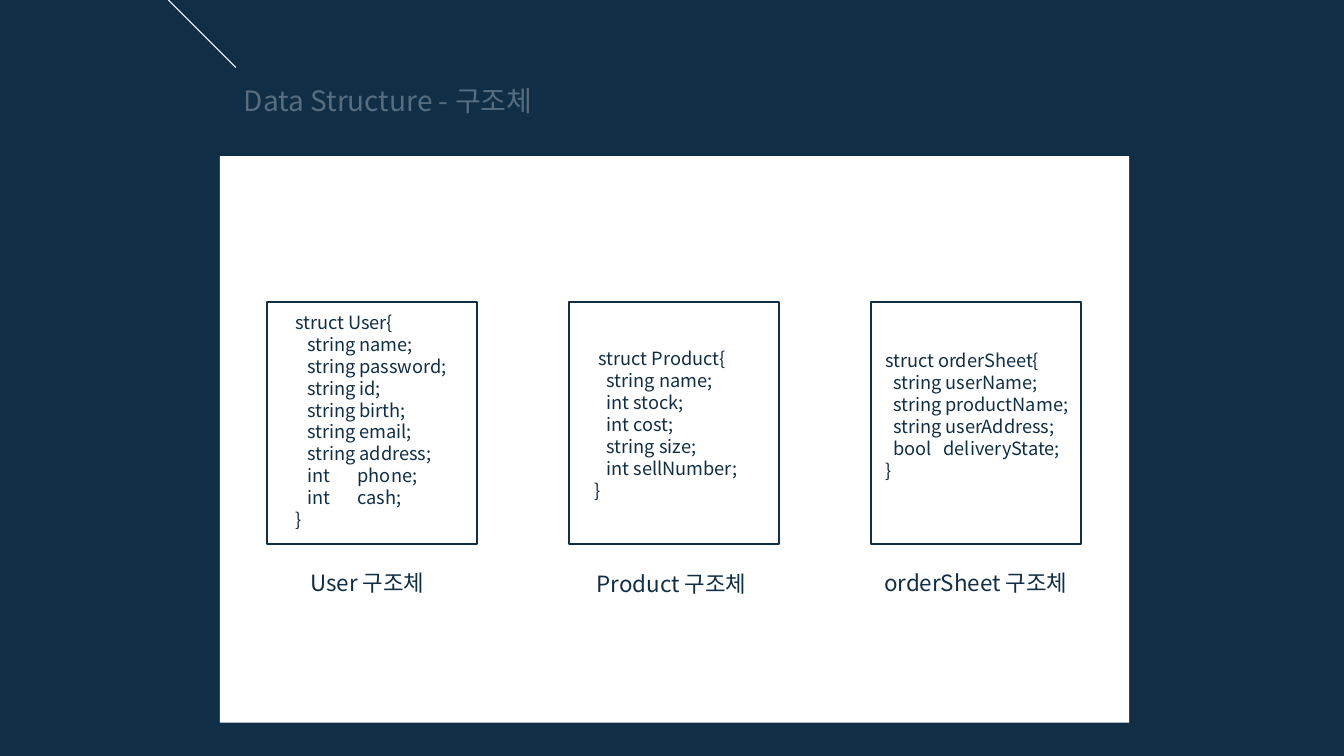
import pptx
import pptx.dml.color
import pptx.enum.shapes
import pptx.enum.text
import pptx.oxml.ns
import pptx.util
from lxml import etree

Inches = pptx.util.Inches
Pt = pptx.util.Pt

COLORS = {"navy": "102E46", "white": "FFFFFF"}
FONT = "Noto Sans CJK KR"
TITLE = "Data Structure - 구조체"
STRUCTS = [
    {
        "opening": "struct User{",
        "fields": ["string name;", "string password;", "string id;", "string birth;",
                   "string email;", "string address;", "int\tphone;", "int\tcash;"],
        "label": "User 구조체",
        "code_box": (2.83, 3.04, 1.73, 2.51),
        "label_box": (2.98, 5.6, 1.73, 0.37),
        "opening_indent": 0, "field_indent": 0.12, "tab": 0.52,
    },
    {
        "opening": "struct Product{",
        "fields": ["string name;", "int stock;", "int cost;", "string size;",
                   "int sellNumber;"],
        "label": "Product 구조체",
        "code_box": (5.8, 3.4, 1.73, 1.63),
        "label_box": (5.82, 5.61, 1.73, 0.37),
        "opening_indent": 0.04, "field_indent": 0.12, "tab": None,
    },
    {
        "opening": "struct orderSheet{",
        "fields": ["string userName;", "string productName;", "string userAddress;",
                   "bool\tdeliveryState;"],
        "label": "orderSheet 구조체",
        "code_box": (8.68, 3.42, 2.08, 1.41),
        "label_box": (8.67, 5.6, 2.02, 0.37),
        "opening_indent": 0, "field_indent": 0.08, "tab": 0.55,
    },
]
FRAME_LEFT, FRAME_TOP, FRAME_WIDTH, FRAME_HEIGHT = 2.65, 3, 2.08, 2.4
FRAME_STEP = 2.995

presentation = pptx.Presentation()
presentation.slide_width = Inches(13.33)
presentation.slide_height = Inches(7.5)
slide = presentation.slides.add_slide(presentation.slide_layouts[6])


def rgb(name):
    return pptx.dml.color.RGBColor.from_string(COLORS[name])


def add_child(parent, tag, **attributes):
    return etree.SubElement(parent, pptx.oxml.ns.qn(tag), attributes)


def add_rectangle(box, fill=None, line=None):
    shape = slide.shapes.add_shape(
        pptx.enum.shapes.MSO_SHAPE.RECTANGLE, *map(Inches, box))
    shape.shadow.inherit = False
    if fill:
        shape.fill.solid()
        shape.fill.fore_color.rgb = rgb(fill)
    else:
        shape.fill.background()
    if line:
        shape.line.color.rgb = rgb(line)
        shape.line.width = Pt(1.5)
    else:
        shape.line.fill.background()


def add_text(box, lines, size, color, wrap=True, tab=None):
    shape = slide.shapes.add_textbox(*map(Inches, box))
    frame = shape.text_frame
    frame.word_wrap = wrap
    frame.auto_size = pptx.enum.text.MSO_AUTO_SIZE.SHAPE_TO_FIT_TEXT
    for index, (text, indent) in enumerate(lines):
        paragraph = frame.paragraphs[0] if index == 0 else frame.add_paragraph()
        run = paragraph.add_run()
        run.text = text
        for name, value in {"size": Pt(size), "name": FONT}.items():
            setattr(run.font, name, value)
        run.font.color.rgb = rgb(color)
        add_child(run.font._element, "a:ea", typeface=FONT)
        properties = paragraph._p.get_or_add_pPr()
        if indent:
            properties.set("marL", str(Inches(indent)))
            properties.set("indent", "0")
        if "\t" in text:
            stops = add_child(properties, "a:tabLst")
            add_child(stops, "a:tab", pos=str(Inches(tab)), algn="l")
    return shape


add_rectangle((-0.18, -0.11, 13.54, 7.72), fill="navy")
add_rectangle((2.18, 1.55, 9.02, 5.62), fill="white")

accent = slide.shapes.add_connector(
    pptx.enum.shapes.MSO_CONNECTOR.STRAIGHT,
    Inches(1.67), Inches(0), Inches(2.34), Inches(0.67))
accent.line.color.rgb = rgb("white")
accent.line.width = Pt(0.75)
add_child(accent._element.spPr, "a:effectLst")

title = add_text((2.32, 0.78, 3.18, 0.44), [(TITLE, 0)], 20, "white", wrap=False)
for color in title._element.iter(pptx.oxml.ns.qn("a:srgbClr")):
    add_child(color, "a:alpha", val="30000")

for index, struct in enumerate(STRUCTS):
    add_rectangle((FRAME_LEFT + index * FRAME_STEP, FRAME_TOP, FRAME_WIDTH, FRAME_HEIGHT),
                  line="navy")
    code = [(struct["opening"], struct["opening_indent"])]
    code += [(field, struct["field_indent"]) for field in struct["fields"]]
    code.append(("}", 0))
    add_text(struct["code_box"], code, 13, "navy", tab=struct["tab"])
    add_text(struct["label_box"], [(struct["label"], 0)], 16, "navy")

presentation.save("out.pptx")
